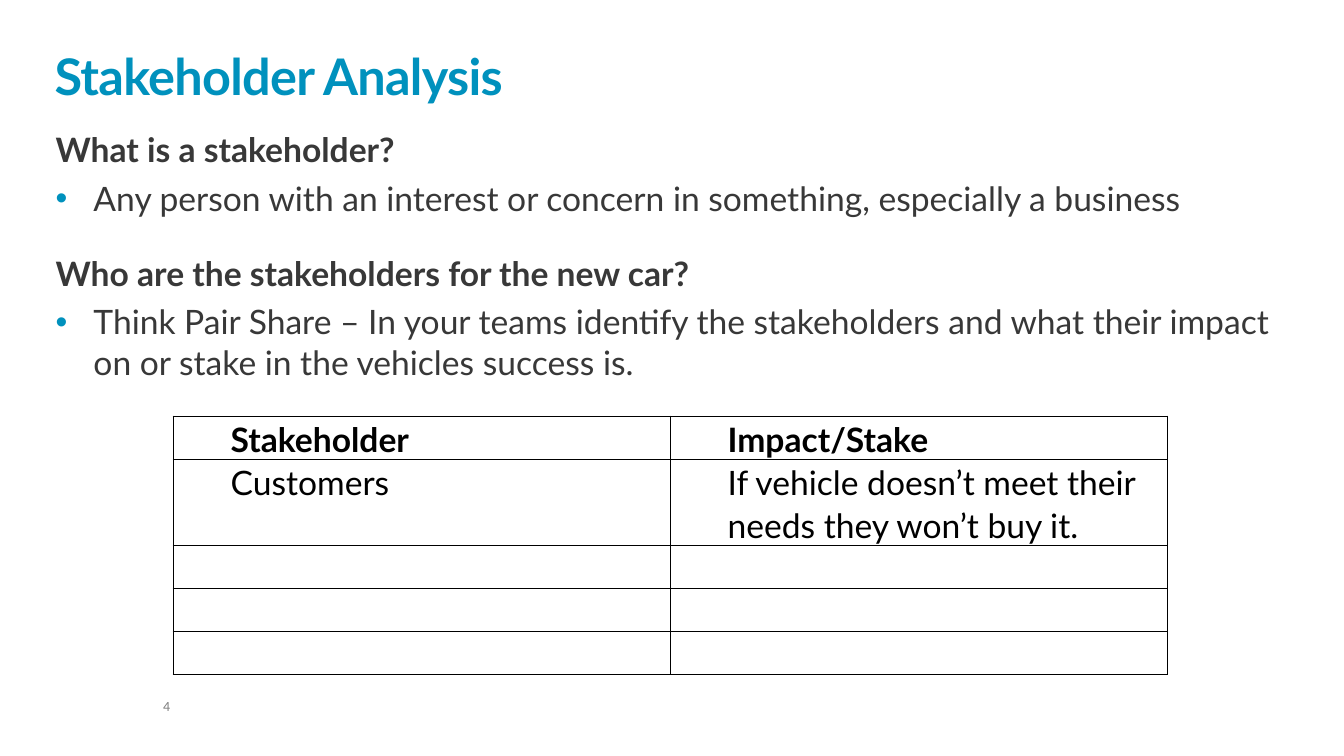
from lxml.etree import SubElement
from pptx import Presentation
from pptx.dml.color import RGBColor
from pptx.enum.text import MSO_ANCHOR as Anchor
from pptx.oxml.ns import qn
from pptx.util import Pt

BLUE, GRAY, BLACK, PAGE_GRAY = "0091BD", "383838", "000000", "7F7F7F"
NO_MARGINS = dict.fromkeys(
    ("margin_left", "margin_top", "margin_right", "margin_bottom"), 0)


def write(paragraph, text, color, **font_format):
    """Add a run to the paragraph; font_format overrides 24 pt Lato."""
    run = paragraph.add_run()
    run.text = text
    run.font.color.rgb = RGBColor.from_string(color)
    for name, value in {"name": "Lato", "size": Pt(24), **font_format}.items():
        setattr(run.font, name, value)
    return run


def add_text_frame(slide, left, top, width, height, **frame_format):
    box = slide.shapes.add_textbox(Pt(left), Pt(top), Pt(width), Pt(height))
    for name, value in {"word_wrap": True, **NO_MARGINS, **frame_format}.items():
        setattr(box.text_frame, name, value)
    return box.text_frame


presentation = Presentation()
presentation.slide_width, presentation.slide_height = Pt(960), Pt(540)
slide = presentation.slides.add_slide(presentation.slide_layouts[6])

# Page number
paragraph = add_text_frame(slide, 116.6, 499.7, 85.7, 10.8).paragraphs[0]
paragraph.line_spacing = 0.9
write(paragraph, "4", PAGE_GRAY, name="Calibri", size=Pt(10))

# Title
title_frame = add_text_frame(slide, 39, 23, 880.6, 52.6,
                             vertical_anchor=Anchor.BOTTOM)
paragraph = title_frame.paragraphs[0]
paragraph.line_spacing = 0.85
title_run = write(paragraph, "Stakeholder Analysis", BLUE, size=Pt(36), bold=True)
title_run.font._element.set("spc", "-50")

# Questions, each with one bulleted answer
questions = [
    ("What is a stakeholder?",
     "Any person with an interest or concern in something, especially a business"),
    ("Who are the stakeholders for the new car?",
     "Think Pair Share – In your teams identify the stakeholders and what "
     "their impact on or stake in the vehicles success is."),
]
body_frame = add_text_frame(slide, 39.8, 92.2, 880.6, 141)
for index, (question, answer) in enumerate(questions):
    paragraph = body_frame.add_paragraph() if index else body_frame.paragraphs[0]
    if index:
        paragraph.space_before = Pt(24.6)
    write(paragraph, question, GRAY, bold=True)

    paragraph = body_frame.add_paragraph()
    paragraph.space_before = Pt(6)
    properties = paragraph._p.get_or_add_pPr()
    properties.set("marL", str(Pt(27)))
    properties.set("indent", str(Pt(-27)))
    bullet_color = SubElement(properties, qn("a:buClr"))
    SubElement(bullet_color, qn("a:srgbClr"), val=BLUE)
    SubElement(properties, qn("a:buFont"), typeface="Arial")
    SubElement(properties, qn("a:buChar"), char="•")
    write(paragraph, answer, GRAY)

# Stakeholder table, with empty rows to fill in
rows = [
    ("Stakeholder", "Impact/Stake"),
    ("Customers", "If vehicle doesn’t meet their needs they won’t buy it."),
] + [("", "")] * 3
row_heights = [30.8, 61.6, 30.8, 30.8, 30.8]
table = slide.shapes.add_table(len(rows), 2, Pt(123.8), Pt(297.2),
                               Pt(710), Pt(sum(row_heights))).table
table.first_row = table.horz_banding = False
cell_format = {**NO_MARGINS, "margin_left": Pt(5), "margin_right": Pt(5)}
for row_index, (texts, height) in enumerate(zip(rows, row_heights)):
    table.rows[row_index].height = Pt(height)
    for column_index, text in enumerate(texts):
        cell = table.cell(row_index, column_index)
        for name, value in cell_format.items():
            setattr(cell, name, value)
        cell_properties = cell._tc.get_or_add_tcPr()
        for side in ("lnL", "lnR", "lnT", "lnB"):
            border = SubElement(cell_properties, qn(f"a:{side}"), w=str(Pt(1)))
            border_fill = SubElement(border, qn("a:solidFill"))
            SubElement(border_fill, qn("a:srgbClr"), val=BLACK)
        cell.fill.background()
        if text:
            paragraph = cell.text_frame.paragraphs[0]
            paragraph.line_spacing = 1.07
            paragraph._p.get_or_add_pPr().set("marL", str(Pt(36)))
            write(paragraph, text, BLACK, bold=row_index == 0)

presentation.save("out.pptx")
